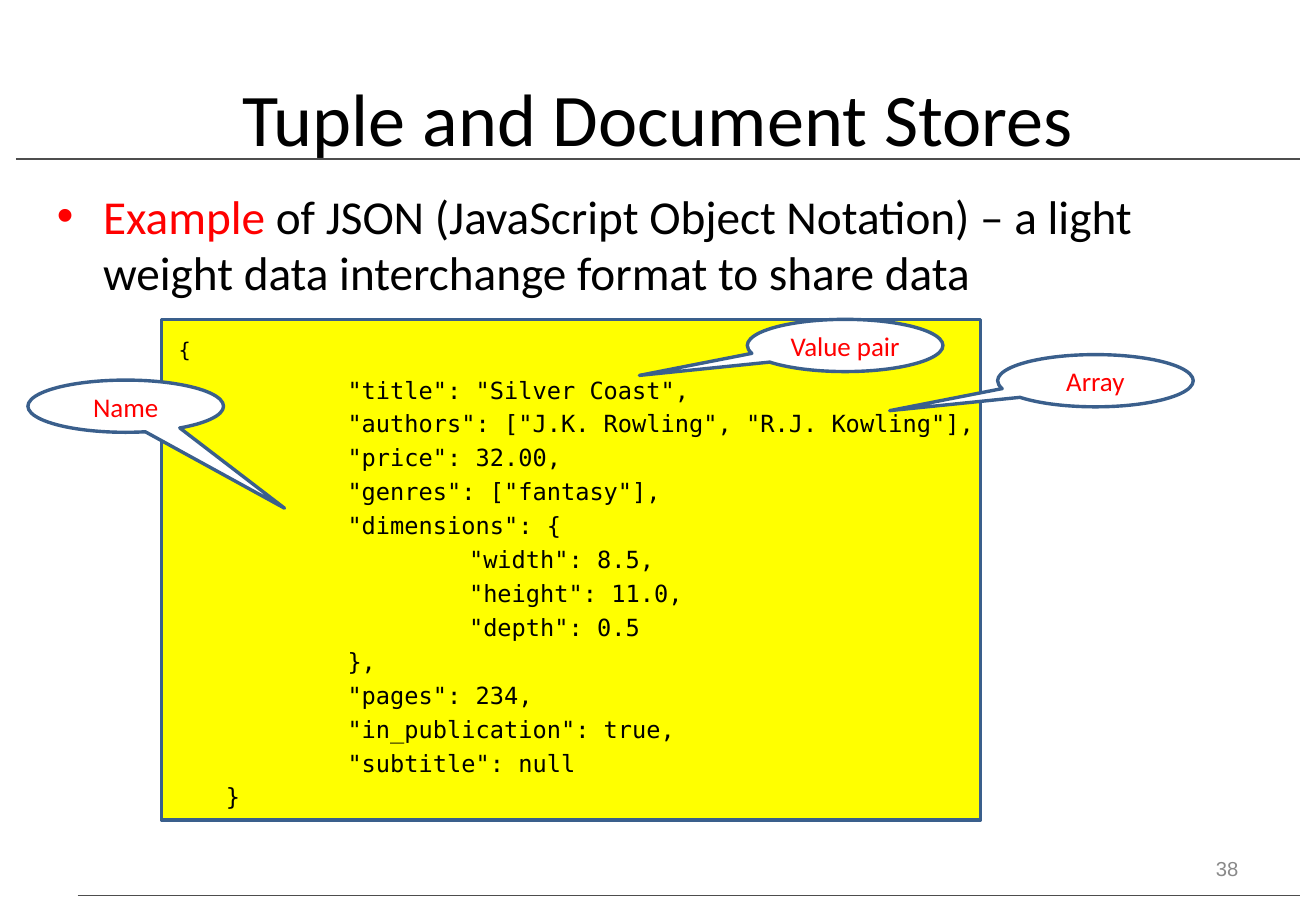
from lxml.etree import SubElement
from pptx import Presentation
from pptx.dml.color import RGBColor
from pptx.enum.shapes import MSO_CONNECTOR, MSO_SHAPE
from pptx.enum.text import MSO_ANCHOR, PP_ALIGN
from pptx.oxml.ns import qn
from pptx.util import Pt

SCALE = 9144
BLACK, RED, WHITE, YELLOW = "000000", "FF0000", "FFFFFF", "FFFF00"
GRAY, RULE, OUTLINE = "898989", "4D4D4D", "3A5F8C"

CODE_LINES = [
    (1, '"title": "Silver Coast",'),
    (1, '"authors": ["J.K. Rowling", "R.J. Kowling"],'),
    (1, '"price": 32.00,'),
    (1, '"genres": ["fantasy"],'),
    (1, '"dimensions": {'),
    (2, '"width": 8.5,'),
    (2, '"height": 11.0,'),
    (2, '"depth": 0.5'),
    (1, '},'),
    (1, '"pages": 234,'),
    (1, '"in_publication": true,'),
    (1, '"subtitle": null'),
    (0, '}'),
]

CALLOUTS = [
    ("Value pair", 615, 263, (-1.052, 0.573)),
    ("Array", 821, 292, (-1.052, 0.573)),
    ("Name", 23, 313, (0.812, 1.953)),
]


def px(*values):
    return [value * SCALE for value in values]


def color(value):
    return RGBColor.from_string(value)


def add_text(para, text, size=16, font="Calibri", fill=BLACK, align=PP_ALIGN.LEFT):
    span = para.add_run()
    span.text = text
    span.font.size = Pt(size)
    span.font.name = font
    span.font.color.rgb = color(fill)
    para.alignment = align


def indent(para, margin, first=0, bullet=None):
    properties = para._p.get_or_add_pPr()
    properties.set("marL", str(margin * SCALE))
    properties.set("indent", str(first * SCALE))
    if bullet:
        SubElement(properties, qn("a:buFont")).set("typeface", "Arial")
        SubElement(properties, qn("a:buChar")).set("char", bullet)


def set_frame(shape, anchor, left=10, top=5, right=10, bottom=5):
    frame = shape.text_frame
    frame.word_wrap = True
    frame.vertical_anchor = anchor
    frame.margin_left, frame.margin_top, frame.margin_right, frame.margin_bottom = px(
        left, top, right, bottom)
    return frame


def add_rule(page, left, right, top, width):
    rule = page.shapes.add_connector(MSO_CONNECTOR.STRAIGHT, *px(left, top, right, top))
    rule.line.color.rgb = color(RULE)
    rule.line.width = Pt(width)
    SubElement(rule._element.spPr, qn("a:effectLst"))


def add_box(page, kind, bounds, fill):
    box = page.shapes.add_shape(kind, *px(*bounds))
    box.shadow.inherit = False
    box.fill.solid()
    box.fill.fore_color.rgb = color(fill)
    box.line.color.rgb = color(OUTLINE)
    box.line.width = Pt(2)
    return box


def add_title(page, text):
    title = page.shapes.title
    title.left, title.top, title.width, title.height = px(54, 34, 975, 125)
    frame = set_frame(title, MSO_ANCHOR.MIDDLE)
    add_text(frame.paragraphs[0], text, size=44, align=PP_ALIGN.CENTER)


def add_intro(page):
    box = page.shapes.add_textbox(*px(37, 149, 975, 105))
    para = set_frame(box, MSO_ANCHOR.TOP).paragraphs[0]
    add_text(para, "Example", size=28, fill=RED)
    add_text(para, " of JSON (JavaScript Object Notation) – a light weight "
                   "data interchange format to share data", size=28)
    indent(para, 38, -38, bullet="•")


def add_code(page):
    box = add_box(page, MSO_SHAPE.RECTANGLE, (133, 263, 674, 412), YELLOW)
    frame = set_frame(box, MSO_ANCHOR.TOP, left=14, top=15, right=0)
    add_text(frame.paragraphs[0], "{", size=12, font="DejaVu Sans Mono")
    for number, (level, text) in enumerate(CODE_LINES):
        para = frame.add_paragraph()
        para.space_before = Pt(3.3 if number else 8)
        add_text(para, text, size=14, font="DejaVu Sans Mono")
        indent(para, 39 + 100 * level)


def add_callout(page, text, left, top, tip):
    box = add_box(page, MSO_SHAPE.OVAL_CALLOUT, (left, top, 161, 43), WHITE)
    box.adjustments[0], box.adjustments[1] = tip
    frame = set_frame(box, MSO_ANCHOR.MIDDLE, 0, 0, 0, 0)
    add_text(frame.paragraphs[0], text, fill=RED, align=PP_ALIGN.CENTER)


def add_page_number(page, text):
    box = page.shapes.add_textbox(*px(776, 695, 253, 40))
    frame = set_frame(box, MSO_ANCHOR.MIDDLE)
    add_text(frame.paragraphs[0], text, size=12, font="Arial", fill=GRAY,
             align=PP_ALIGN.RIGHT)


def main():
    deck = Presentation()
    deck.slide_width, deck.slide_height = px(1083, 750)
    page = deck.slides.add_slide(deck.slide_layouts[5])
    add_rule(page, 13, 1070, 131, 1)
    add_rule(page, 64, 1070, 737, 0.75)
    add_title(page, "Tuple and Document Stores")
    add_intro(page)
    add_code(page)
    for callout in CALLOUTS:
        add_callout(page, *callout)
    add_page_number(page, "38")
    deck.save("out.pptx")


if __name__ == "__main__":
    main()
